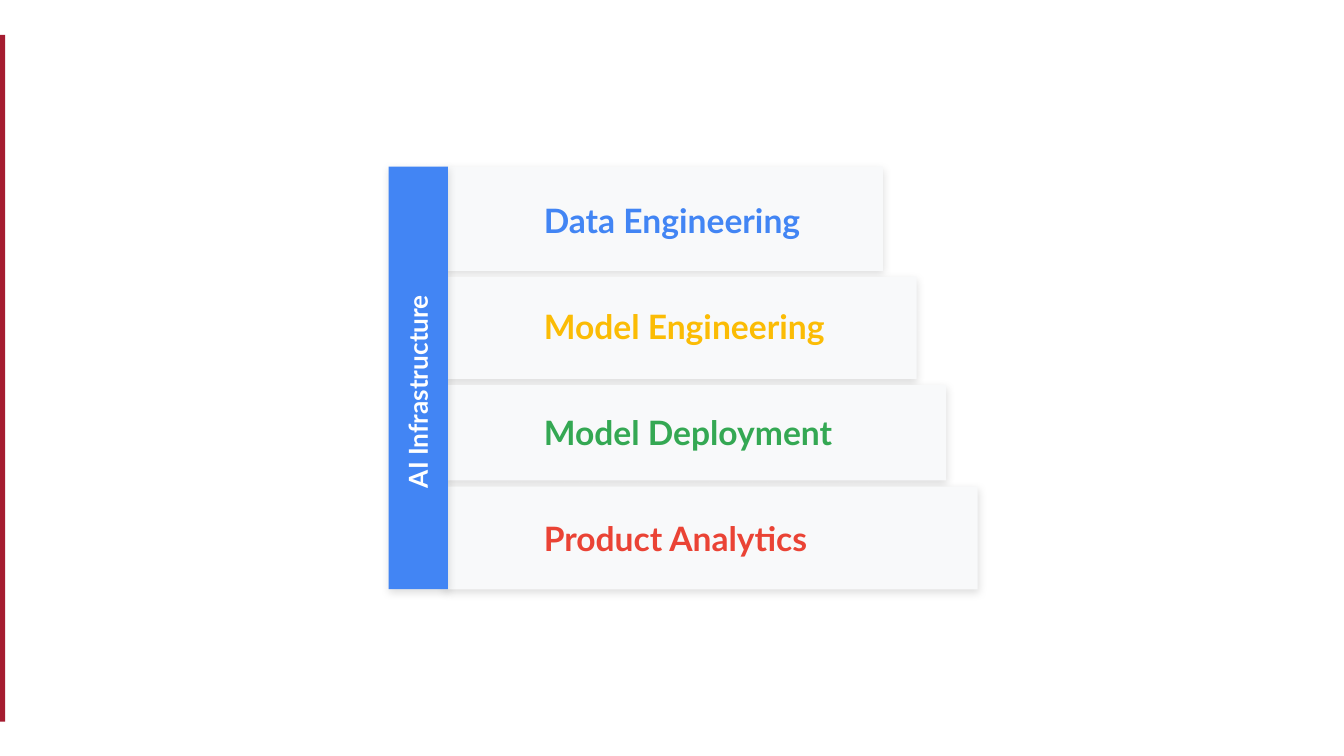
from lxml.etree import SubElement
from pptx import Presentation
from pptx.dml.color import RGBColor
from pptx.enum.shapes import MSO_SHAPE
from pptx.enum.text import MSO_ANCHOR
from pptx.oxml.ns import qn
from pptx.util import Inches, Pt

THEME = {
    "font": "Lato",
    "label_size": 18,
    "spine_size": 14,
    "accent": "A51C30",
    "bar": "F8F9FA",
    "spine": "4285F4",
    "spine_text": "FFFFFF",
    "shadow": "000000",
}

deck = Presentation()
deck.slide_width = Inches(10)
deck.slide_height = deck.slide_width * 9 // 16
slide = deck.slides.add_slide(deck.slide_layouts[6])

column = deck.slide_width / 100
row = deck.slide_height / 56.25


def add_block(left, top, width, height, color, raised=True):
    block = slide.shapes.add_shape(
        MSO_SHAPE.RECTANGLE,
        int(left * column), int(top * row), int(width * column), int(height * row),
    )
    block.fill.solid()
    block.fill.fore_color.rgb = RGBColor.from_string(color)
    block.line.fill.background()
    block.shadow.inherit = False
    if raised:
        effects = block._element.spPr.find(qn("a:effectLst"))
        shadow = SubElement(
            effects, qn("a:outerShdw"), blurRad=str(Pt(4.5)), dist=str(Pt(1.5)),
            dir="5400000", algn="bl", rotWithShape="0",
        )
        tint = SubElement(shadow, qn("a:srgbClr"), val=THEME["shadow"])
        SubElement(tint, qn("a:alpha"), val="12000")


def add_label(text, left, top, width, height, size, color, anchor):
    label = slide.shapes.add_textbox(
        int(left * column), int(top * row), int(width * column), int(height * row)
    )
    frame = label.text_frame
    frame.word_wrap = True
    frame.vertical_anchor = anchor
    frame.margin_left = frame.margin_right = int(column)
    frame.margin_top = frame.margin_bottom = int(row)
    frame.text = text
    font = frame.paragraphs[0].runs[0].font
    font.name = THEME["font"]
    font.size = Pt(size)
    font.bold = True
    font.color.rgb = RGBColor.from_string(color)
    return label


add_block(-0.2, 2.6, 0.6, 51.1, THEME["accent"], raised=False)

stages = [
    ("Data Engineering", "4285F4", 12.4, 32.7, 7.75, 23.1),
    ("Model Engineering", "FBBC05", 20.6, 35.2, 7.6, 28.8),
    ("Model Deployment", "34A853", 28.65, 37.4, 7.1, 28.8),
    ("Product Analytics", "EA4335", 36.2, 39.75, 7.65, 24),
]

for stage, color, top, width, height, label_width in stages:
    add_block(33, top, width, height, THEME["bar"])

add_block(28.92, 12.4, 4.4, 31.45, THEME["spine"])
spine_label = add_label(
    "AI Infrastructure", 21.9, 25.9, 18.4, 4.4,
    THEME["spine_size"], THEME["spine_text"], MSO_ANCHOR.TOP,
)
spine_label.rotation = 270

for index, (stage, color, top, width, height, label_width) in enumerate(stages):
    add_label(
        stage, 39.48, 13.76 + 7.9 * index, label_width, 5.2,
        THEME["label_size"], color, MSO_ANCHOR.MIDDLE,
    )

deck.save("out.pptx")
